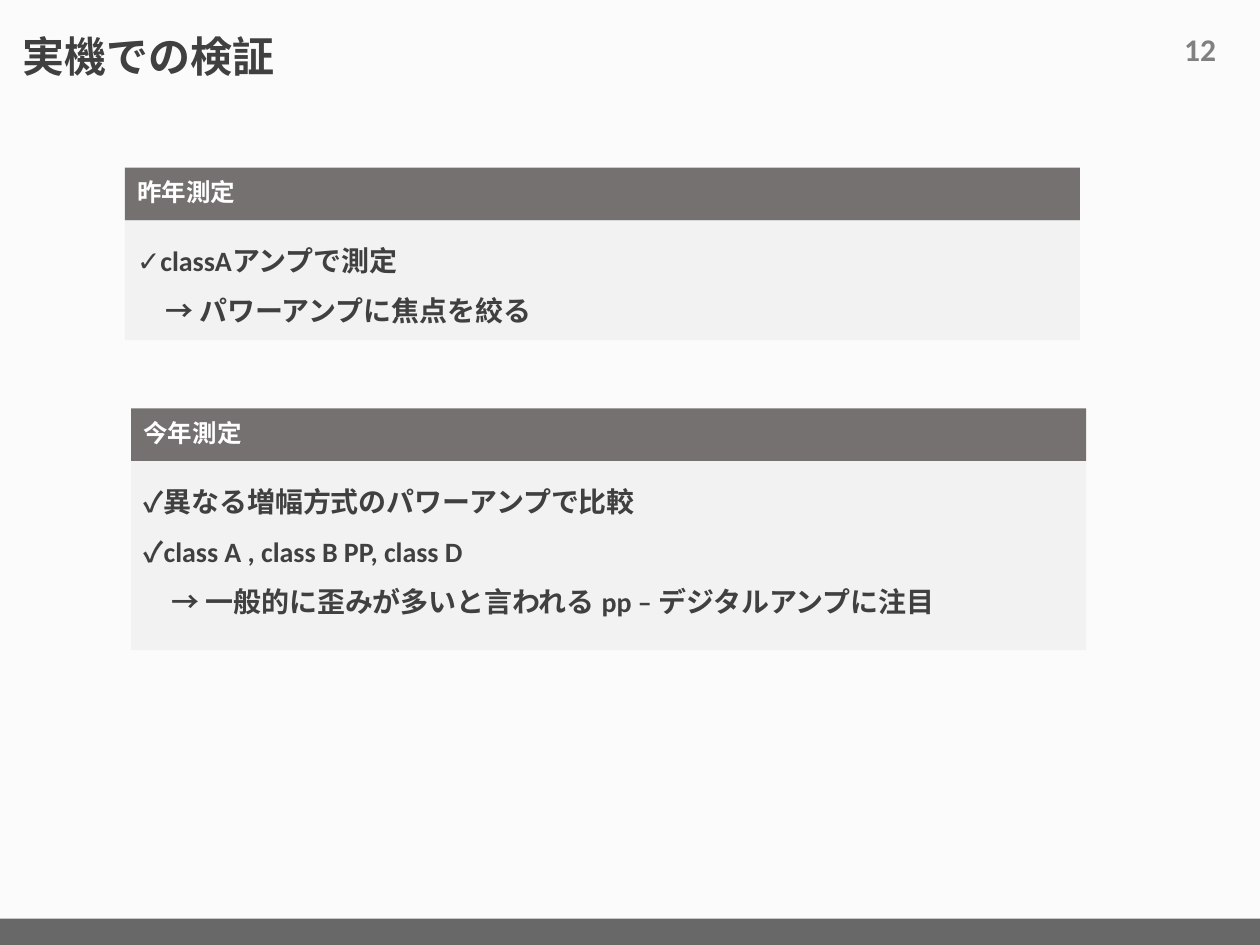
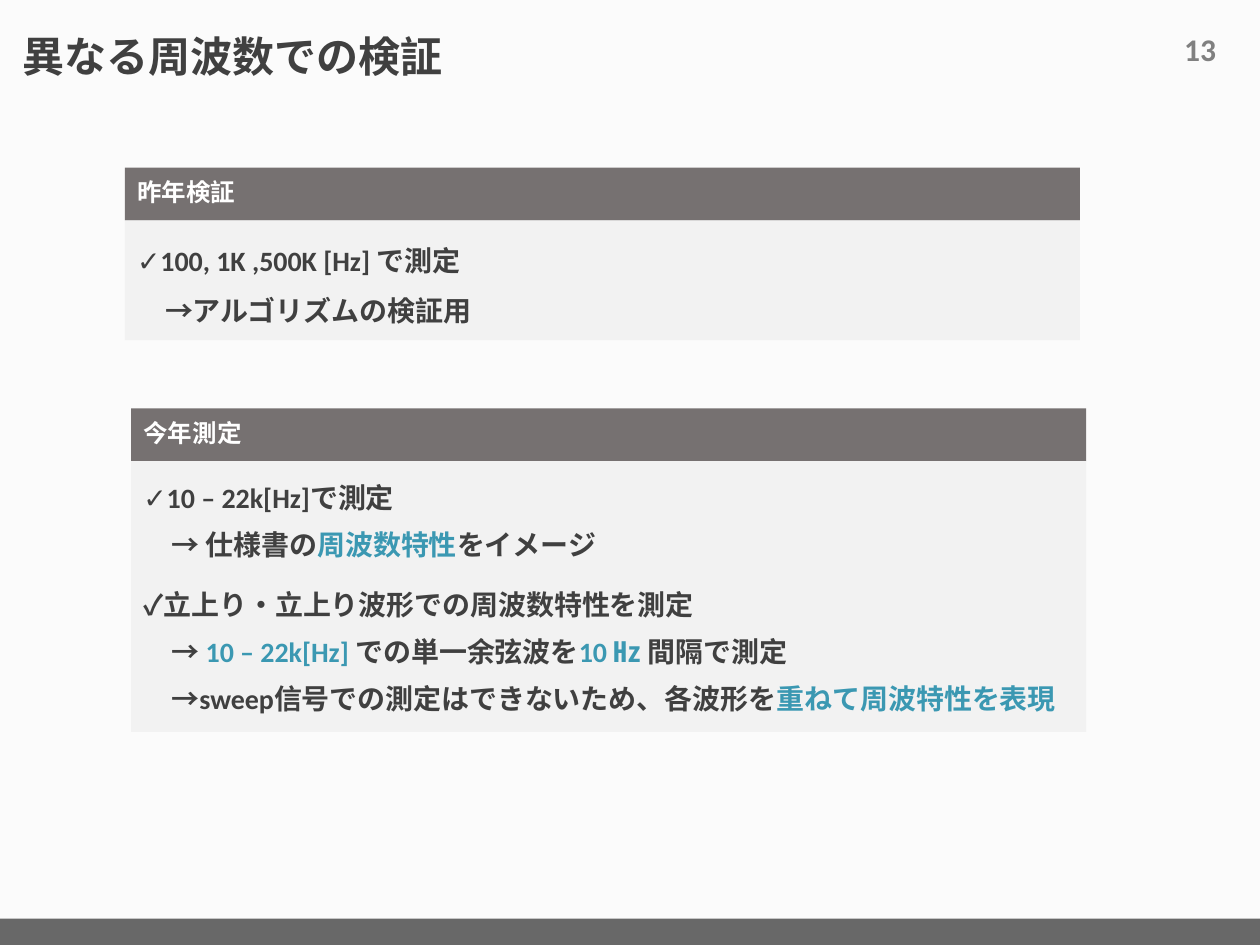
import pptx
import pptx.dml.color
import pptx.enum.shapes
import pptx.enum.text
import pptx.oxml
import pptx.oxml.ns
import pptx.util

Inches = pptx.util.Inches
Pt = pptx.util.Pt
ANCHOR = pptx.enum.text.MSO_ANCHOR

COLORS = {"page": "FBFBFB", "foot": "595959", "head": "767171", "body": "F2F2F2",
          "text": "404040", "mark": "3B98B2", "number": "808080", "white": "FFFFFF"}
FONTS = {
    "title": {"name": "Arial", "size": Pt(24), "bold": True},
    "number": {"name": "Calibri", "size": Pt(18), "bold": True},
    "head": {"name": "Calibri", "size": Pt(14), "bold": True},
    "body": {"name": "Calibri", "size": Pt(16), "bold": True},
}
LEFT = pptx.enum.text.PP_ALIGN.LEFT
TIGHT = {"alignment": LEFT, "line_spacing": 0.9, "space_before": Pt(0)}
PLAIN = {"alignment": LEFT}
FIRST = 12
WIDTH, HEAD = 7.58, 0.42
UPPER, LOWER = (0.99, 1.33), (1.04, 3.24)

PAGES = [
    ("実機での検証", [
        (UPPER, 0.95, 1.5, "昨年測定",
         ["✓classAアンプで測定\n　→ パワーアンプに焦点を絞る"]),
        (LOWER, 1.5, 1.5, "今年測定",
         ["✓異なる増幅方式のパワーアンプで比較\n✓class A , class B PP, class D\n"
          "　→ 一般的に歪みが多いと言われる pp – デジタルアンプに注目"]),
    ]),
    ("異なる周波数での検証", [
        (UPPER, 0.95, 1.5, "昨年検証",
         ["✓100, 1K ,500K [Hz] で測定\n　→アルゴリズムの検証用"]),
        (LOWER, 2.15, 1.4, "今年測定",
         ["✓10 – 22k[Hz]で測定\n　→ 仕様書の*周波数特性*をイメージ",
          "✓立上り・立上り波形での周波数特性を測定\n"
          "　→ *10 – 22k[Hz] *での単一余弦波を*10 ㎐* 間隔で測定 \n"
          "　→sweep信号での測定はできないため、各波形を*重ねて周波特性を表現*"]),
    ]),
]


def paint(target, color):
    """Give a fill or font color format a hex color."""
    target.rgb = pptx.dml.color.RGBColor.from_string(color)


def apply(target, values):
    """Set each format value on the target."""
    for name, value in values.items():
        setattr(target, name, value)


def place(shape, box):
    """Move a shape to a box given in inches."""
    names = ("left", "top", "width", "height")
    apply(shape, {name: Inches(value) for name, value in zip(names, box)})


def write(shape, texts, font, color, layout, anchor):
    """Write paragraphs, with starred parts in the accent color."""
    frame = shape.text_frame
    apply(frame, {"word_wrap": True, "vertical_anchor": anchor,
                  "auto_size": pptx.enum.text.MSO_AUTO_SIZE.NONE})
    for index, text in enumerate(texts):
        para = frame.add_paragraph() if index else frame.paragraphs[0]
        apply(para, layout)
        for order, part in enumerate(text.split("*")):
            for row, line in enumerate(part.split("\n")):
                if row:
                    para.add_line_break()
                if line:
                    run = para.add_run()
                    run.text = line
                    apply(run.font, FONTS[font])
                    paint(run.font.color, COLORS["mark" if order % 2 else color])


def block(slide, box, color):
    """Add a plain filled rectangle."""
    kind = pptx.enum.shapes.MSO_SHAPE.RECTANGLE
    shape = slide.shapes.add_shape(kind, *map(Inches, box))
    shape.shadow.inherit = False
    shape.line.fill.background()
    shape.fill.solid()
    paint(shape.fill.fore_color, COLORS[color])
    return shape


def frame(slide, title, number):
    """Add the footer band, title and page number."""
    band = block(slide, (0, 7.29, 10, 0.21), "foot")
    tint = band.fill._xPr.find(".//" + pptx.oxml.ns.qn("a:srgbClr"))
    alpha = pptx.oxml.parse_xml(
        f'<a:alpha {pptx.oxml.ns.nsdecls("a")} val="90000"/>')
    tint.append(alpha)
    head = slide.shapes.title
    place(head, (0.08, 0.08, 5.35, 0.62))
    write(head, [title], "title", "text", TIGHT, ANCHOR.BOTTOM)
    label = slide.shapes.add_textbox(*map(Inches, (9.3, 0.19, 0.53, 0.4)))
    write(label, [str(number)], "number", "number", PLAIN, ANCHOR.TOP)


def panel(slide, origin, height, spacing, title, texts):
    """Add a heading bar with its body box below."""
    left, top = origin
    bar = block(slide, (left, top, WIDTH, HEAD), "head")
    write(bar, [title], "head", "white", TIGHT, ANCHOR.MIDDLE)
    body = block(slide, (left, top + HEAD, WIDTH, height), "body")
    layout = {"alignment": LEFT, "line_spacing": spacing, "space_before": Pt(7.5)}
    write(body, texts, "body", "text", layout, ANCHOR.TOP)


def main():
    """Build and save the slides."""
    deck = pptx.Presentation()
    apply(deck, {"slide_width": Inches(10), "slide_height": Inches(7.5)})
    back = deck.slide_master.background.fill
    back.solid()
    paint(back.fore_color, COLORS["page"])
    for number, (title, panels) in enumerate(PAGES, FIRST):
        slide = deck.slides.add_slide(deck.slide_layouts[5])
        frame(slide, title, number)
        for item in panels:
            panel(slide, *item)
    deck.save("out.pptx")


if __name__ == "__main__":
    main()
